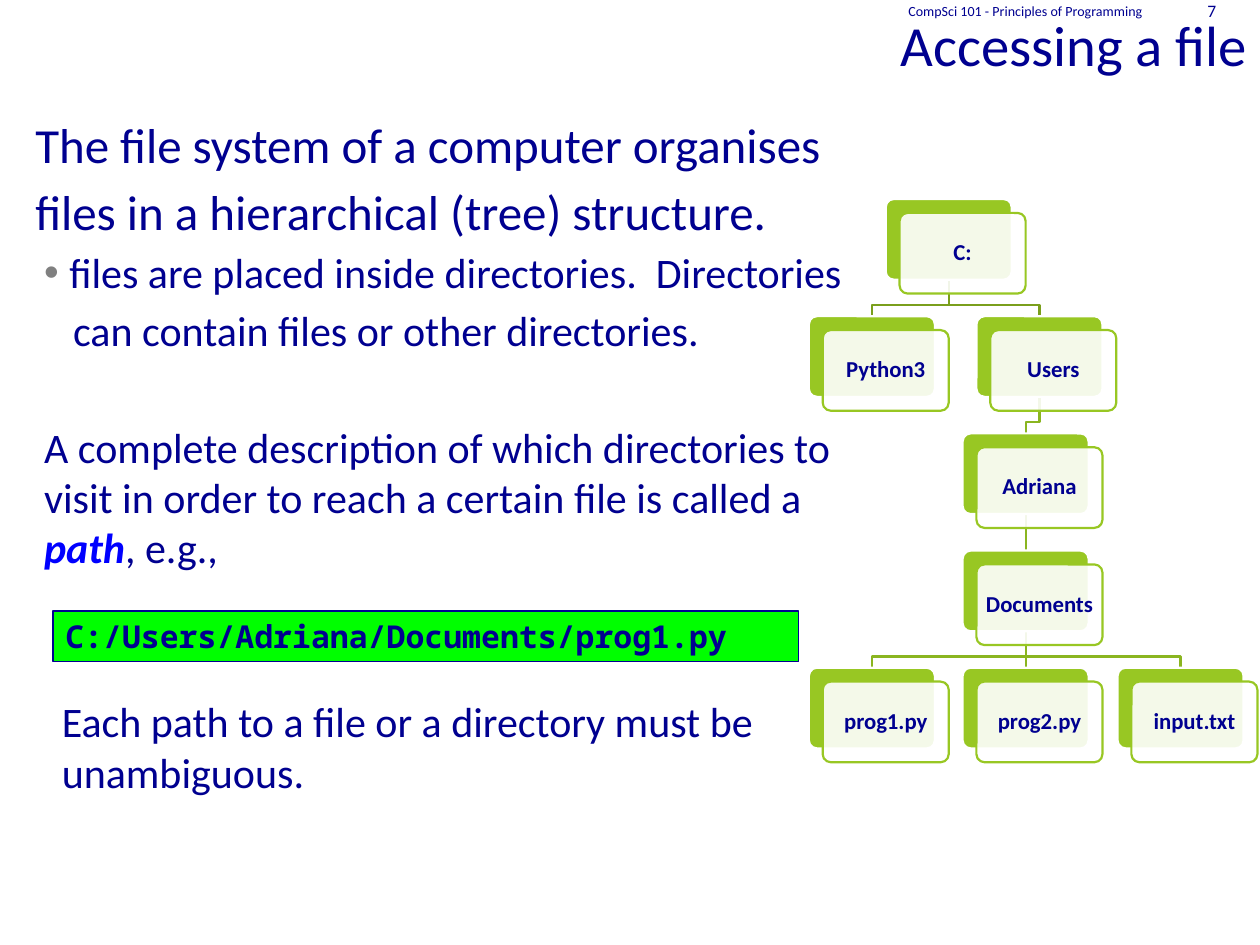
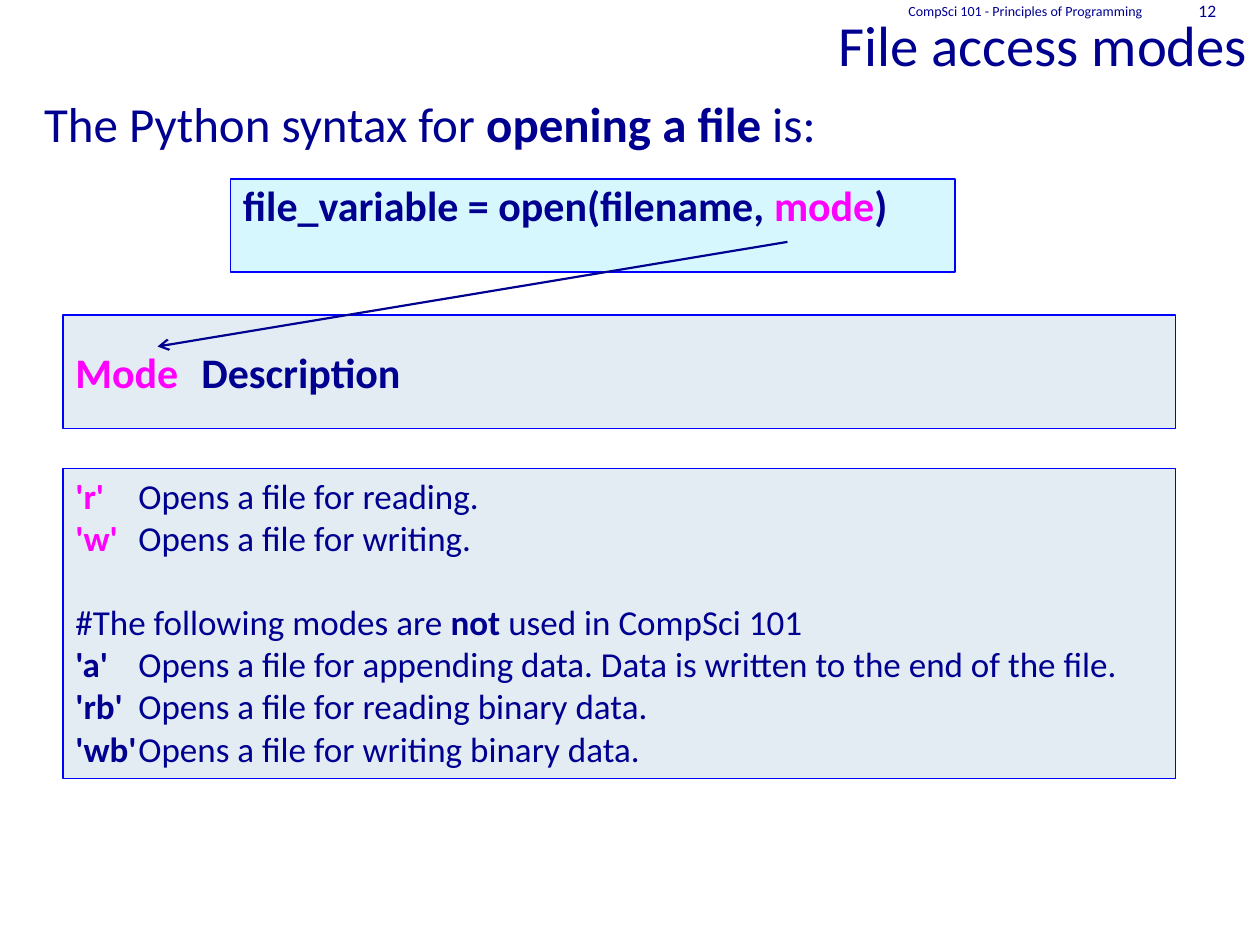
from lxml.etree import SubElement
from pptx import Presentation
from pptx.dml.color import RGBColor
from pptx.enum.shapes import MSO_CONNECTOR, MSO_SHAPE
from pptx.enum.text import MSO_ANCHOR, MSO_AUTO_SIZE, PP_ALIGN
from pptx.oxml.ns import qn
from pptx.util import Inches, Pt

NAVY, BLUE, PINK, LIME = "000090", "0000FF", "FF00FF", "98C723"
PALE, CYAN, GREEN, WHITE = "E3EBF3", "D7F7FF", "00FF00", "FFFFFF"
SANS, MONO = "Calibri", "Noto Sans Mono"
FOOTER = "CompSci 101 - Principles of Programming"
BOLD = {"bold": True}
KEY = {"bold": True, "color": PINK}

STEP, CARD, HEIGHT, SHIFT = 0.93, 1, 0.64, 0.11
NODES = {
    "C:": (7.03, 0), "Python3": (6.42, 1), "Users": (7.75, 1),
    "Adriana": (7.64, 2), "Documents": (7.64, 3),
    "prog1.py": (6.42, 4), "prog2.py": (7.64, 4), "input.txt": (8.87, 4),
}
LINKS = {
    "Documents": ["input.txt", "prog2.py", "prog1.py"],
    "Adriana": ["Documents"],
    "Users": ["Adriana"],
    "C:": ["Users", "Python3"],
}


def rgb(code):
    return RGBColor.from_string(code)


def inches(*values):
    return [Inches(value) for value in values]


def apply(target, values):
    for name, value in values.items():
        setattr(target, name, value)


class Deck:
    """Hold the shared style and the current slide."""

    def __init__(self):
        self.prs = Presentation()
        self.prs.slide_width, self.prs.slide_height = inches(10, 7.5)
        self.slide = None

    def page(self, title, number, place, paras):
        self.slide = self.prs.slides.add_slide(self.prs.slide_layouts[1])
        head, body = self.slide.placeholders
        self.place(head, (0, 0, 10, 0.67))
        self.label(head, [([(title, {})], {"size": 32.4, "align": PP_ALIGN.RIGHT})],
                   vertical_anchor=MSO_ANCHOR.BOTTOM)
        self.place(body, place)
        self.label(body, paras)
        for text, left, width, size in ((str(number), 9.17, 0.58, 10), (FOOTER, 6.17, 3, 8)):
            note = self.slide.shapes.add_textbox(*inches(left, 0, width, 0.17))
            self.label(note, [([(text, {})], {"size": size, "align": PP_ALIGN.RIGHT})],
                       vertical_anchor=MSO_ANCHOR.MIDDLE, margin_top=0, margin_bottom=0)

    def place(self, shape, spot):
        apply(shape, dict(zip(("left", "top", "width", "height"), inches(*spot))))

    def label(self, shape, paras, **frame):
        text = shape.text_frame
        apply(text, {"word_wrap": True, "auto_size": MSO_AUTO_SIZE.NONE,
                     "vertical_anchor": MSO_ANCHOR.TOP} | frame)
        for index, (runs, style) in enumerate(paras):
            para = text.add_paragraph() if index else text.paragraphs[0]
            self.layout(para, style)
            for words, look in runs:
                run = para.add_run()
                run.text = words
                look = {"size": style["size"], "name": SANS, "color": NAVY} | look
                run.font.color.rgb = rgb(look.pop("color"))
                look["size"] = Pt(look["size"])
                apply(run.font, look)

    def layout(self, para, style):
        apply(para, {"alignment": style.get("align", PP_ALIGN.LEFT),
                     "space_before": Pt(style.get("before", 0)),
                     "line_spacing": style.get("lines", 1.0)})
        props = para._p.get_or_add_pPr()
        props.set("marL", str(Inches(style.get("left", 0))))
        props.set("indent", str(Inches(style.get("hang", 0))))
        if "bullet" in style:
            tint = SubElement(props, qn("a:buClr"))
            SubElement(tint, qn("a:srgbClr"), val=style["bullet"])
            SubElement(props, qn("a:buChar"), char="•")
        else:
            SubElement(props, qn("a:buNone"))
        if "tab" in style:
            tabs = SubElement(props, qn("a:tabLst"))
            SubElement(tabs, qn("a:tab"), pos=str(Inches(style["tab"])), algn="l")

    def box(self, spot, fill, edge, width=0.75, kind=MSO_SHAPE.RECTANGLE):
        shape = self.slide.shapes.add_shape(kind, *inches(*spot))
        shape.shadow.inherit = False
        shape.fill.solid()
        shape.fill.fore_color.rgb = rgb(fill)
        self.stroke(shape, edge, width)
        return shape

    def stroke(self, shape, tint, width=1.25):
        shape.line.color.rgb = rgb(tint)
        shape.line.width = Pt(width)

    def panel(self, spot, fill, edge, paras):
        self.label(self.box(spot, fill, edge), paras)

    def card(self, name):
        left, depth = NODES[name]
        top = 1.58 + STEP * depth
        for shift, fill, edge in ((0, LIME, WHITE), (SHIFT, WHITE, LIME)):
            shape = self.box((left + shift, top + shift, CARD, HEIGHT), fill, edge,
                             1.25, MSO_SHAPE.ROUNDED_RECTANGLE)
            shape.adjustments[0] = 0.1
        tint = shape._element.spPr.find(qn("a:solidFill")).find(qn("a:srgbClr"))
        SubElement(tint, qn("a:alpha"), val="90000")
        self.label(shape, [([(name, BOLD)], {"size": 13, "lines": 0.9, "align": PP_ALIGN.CENTER})],
                   vertical_anchor=MSO_ANCHOR.MIDDLE, word_wrap=False)

    def link(self, upper, lower):
        (left, depth), (right, _) = NODES[upper], NODES[lower]
        start, end = left + CARD / 2, right + CARD / 2
        top, base = 1.58 + STEP * depth + HEIGHT, 1.58 + STEP * (depth + 1)
        tint = "8AB520" if depth else "7A9F1C"
        if start == end:
            self.line((start, top), (end, base), tint)
            return
        turn = top + 0.2
        pen = self.slide.shapes.build_freeform(*inches(start, top))
        pen.add_line_segments([inches(*spot) for spot in
                               ((start, turn), (end, turn), (end, base))], close=False)
        shape = pen.convert_to_shape()
        shape.shadow.inherit = False
        shape.fill.background()
        self.stroke(shape, tint)

    def line(self, start, end, tint, arrow=False):
        line = self.slide.shapes.add_connector(MSO_CONNECTOR.STRAIGHT, *inches(*start, *end))
        self.stroke(line, tint)
        props = line._element.spPr
        if arrow:
            SubElement(props.find(qn("a:ln")), qn("a:tailEnd"), type="arrow")
        SubElement(props, qn("a:effectLst"))


def tree(deck):
    deck.page("Accessing a file", 7, (0, 0.86, 7.08, 6.14), [
        ([("The file system of a computer organises", {})], {"size": 28, "left": 0.18}),
        ([("files in a hierarchical (tree) structure.", {})],
         {"size": 28, "left": 0.18, "before": 4.4}),
        ([("files are placed inside directories.  Directories", {})],
         {"size": 24, "left": 0.45, "hang": -0.2, "before": 3.9, "bullet": "808080"}),
        ([("can contain files or other directories.", {})],
         {"size": 24, "left": 0.48, "before": 3.9}),
        ([("A complete description of which directories to visit in order"
           " to reach a certain file is called a ", {}),
          ("path", {"bold": True, "italic": True, "color": BLUE}), (", e.g.,", {})],
         {"size": 24, "left": 0.25, "before": 38}),
        ([("Each path to a file or a directory must be unambiguous.", {})],
         {"size": 24, "left": 0.39, "before": 70.7}),
    ])
    deck.panel((0.42, 4.85, 5.92, 0.4), GREEN, NAVY, [
        ([("C:/Users/Adriana/Documents/prog1.py", {"name": MONO, "bold": True})], {"size": 18})])
    for upper, group in LINKS.items():
        for lower in group:
            deck.link(upper, lower)
    for name in NODES:
        deck.card(name)


def modes(deck):
    deck.page("File access modes", 12, (0.17, 0.69, 9.83, 6.31), [
        ([("The Python syntax for ", {}), ("opening a file ", BOLD), ("is:", {})],
         {"size": 28, "left": 0.08})])
    deck.panel((1.83, 1.42, 5.75, 0.74), CYAN, BLUE, [
        ([("file_variable = open(filename, ", BOLD), ("mode", KEY), (")", BOLD)],
         {"size": 24, "lines": 0.9})])
    style = {"size": 20, "tab": 0.68}
    rows = [([(f"'{mode}'", look), (f"\tOpens a file for {use}.", {})], style)
            for mode, look, use in (
                ("r", KEY, "reading"), ("w", KEY, "writing"),
                ("a", BOLD, "appending data. Data is written to the end of the file"),
                ("rb", BOLD, "reading binary data"), ("wb", BOLD, "writing binary data"))]
    note = [("#The following modes are ", {}), ("not", BOLD), (" used in CompSci 101", {})]
    rows.insert(2, (note, style | {"before": 24}))
    deck.panel((0.5, 3.72, 8.83, 2.46), PALE, BLUE, rows)
    deck.panel((0.5, 2.5, 8.83, 0.9), PALE, BLUE, [
        ([("Mode", KEY), ("\tDescription", BOLD)], {"size": 24, "lines": 1.5, "tab": 2})])
    deck.line((6.25, 1.92), (1.25, 2.75), NAVY, arrow=True)


def main():
    deck = Deck()
    tree(deck)
    modes(deck)
    deck.prs.save("out.pptx")


if __name__ == "__main__":
    main()
